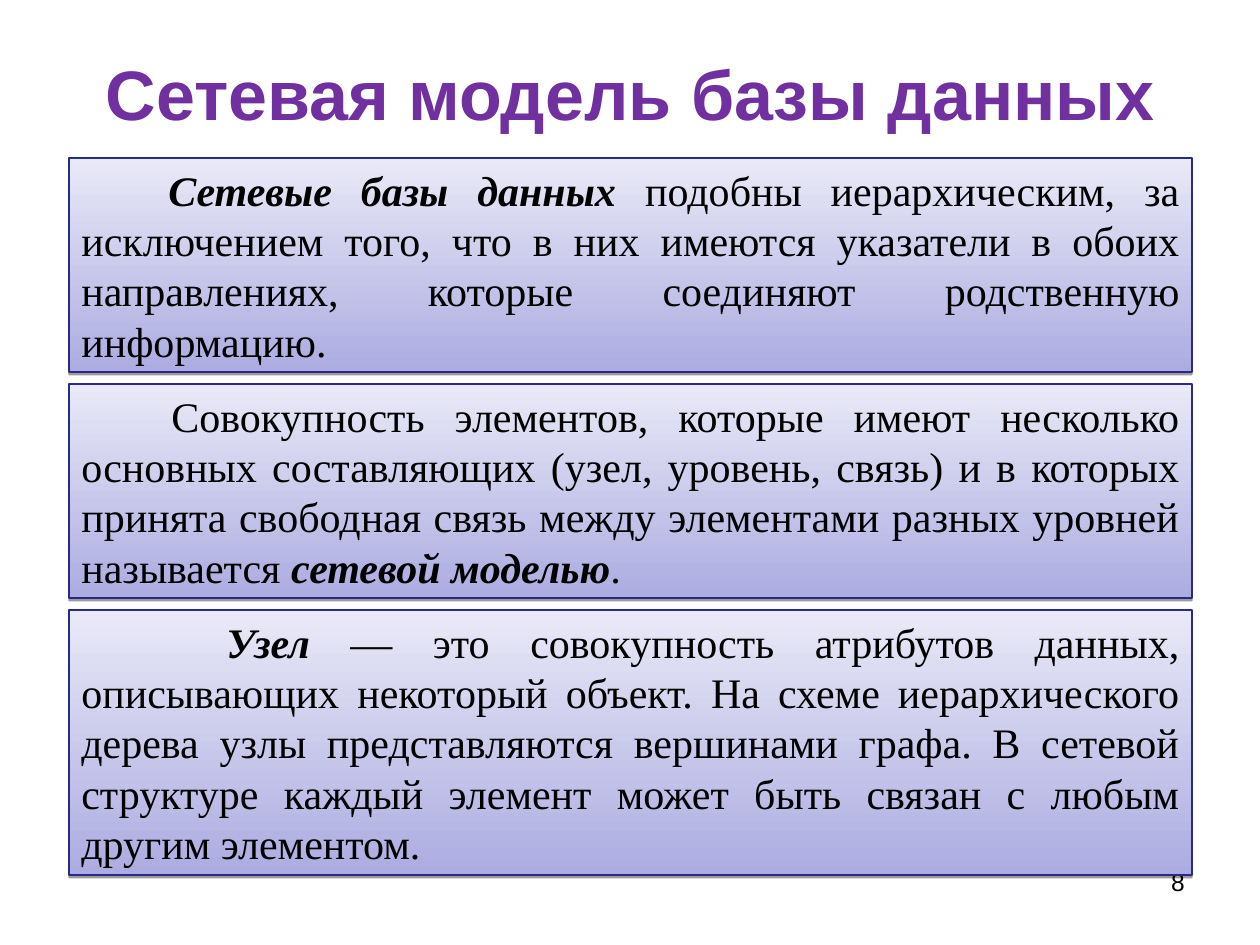
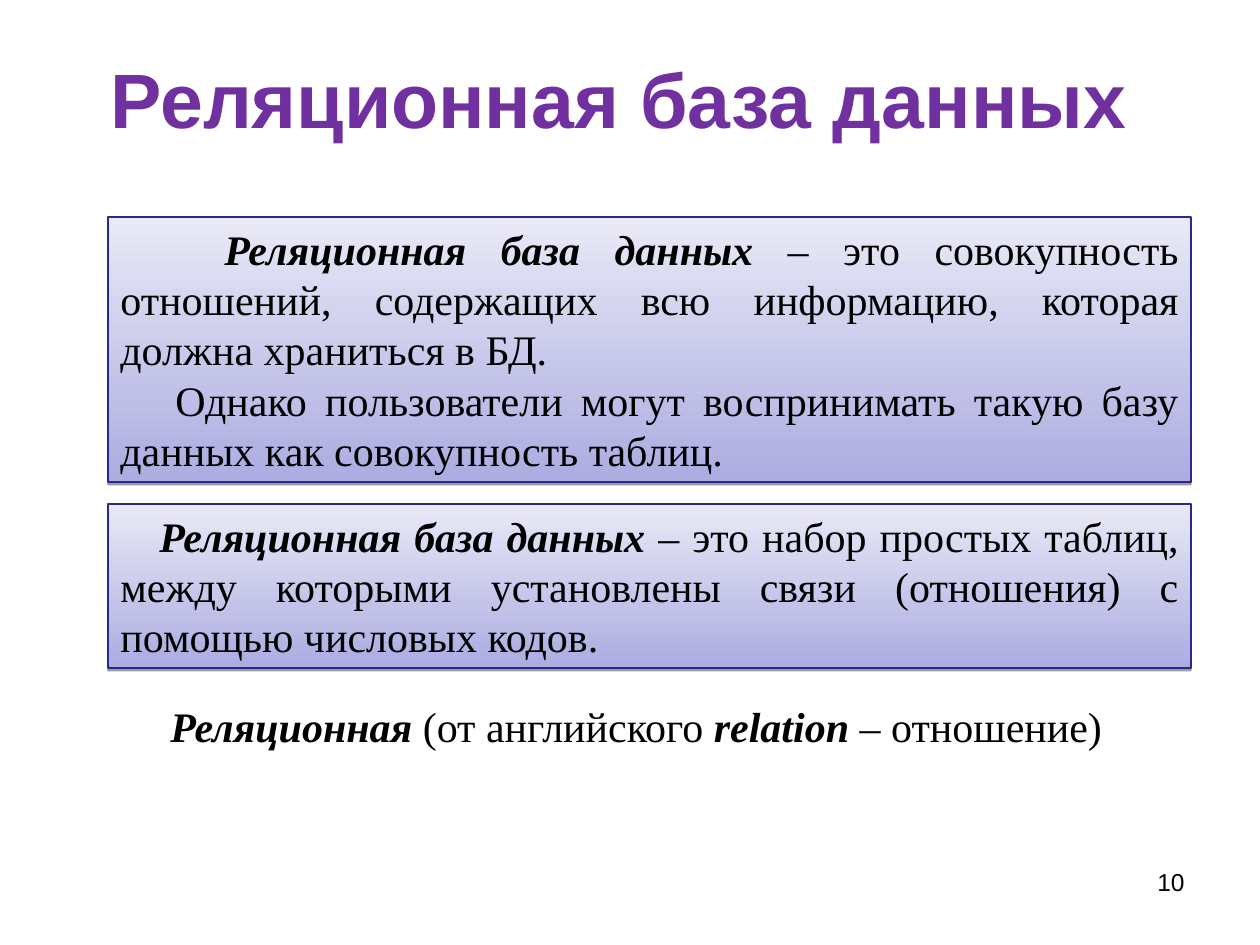
"""Builds two slides about network and relational databases."""
from dataclasses import dataclass

import lxml.etree
import pptx
import pptx.dml.color
import pptx.enum.shapes
import pptx.enum.text
import pptx.oxml.ns
import pptx.util

PX_PER_INCH = 126
TITLE_FONT = "Arial"
BODY_FONT = "Times New Roman"
PURPLE = pptx.dml.color.RGBColor(0x70, 0x30, 0xA0)
BLACK = pptx.dml.color.RGBColor(0x00, 0x00, 0x00)
BORDER = pptx.dml.color.RGBColor(0x29, 0x29, 0x89)
PANEL_DARK = pptx.dml.color.RGBColor(0xAC, 0xAC, 0xE1)
PANEL_LIGHT = pptx.dml.color.RGBColor(0xE9, 0xE9, 0xF7)
ALIGN = pptx.enum.text.PP_ALIGN
ANCHOR = pptx.enum.text.MSO_ANCHOR


@dataclass(frozen=True)
class Run:
    text: str
    strong: bool = False


@dataclass(frozen=True)
class Para:
    runs: tuple[Run, ...]
    indent: int = 0


@dataclass(frozen=True)
class Panel:
    height: int
    paras: tuple[Para, ...]


@dataclass(frozen=True)
class Stack:
    left: int
    top: int
    width: int
    gap: int
    panels: tuple[Panel, ...]


@dataclass(frozen=True)
class Page:
    title: str
    title_size: int
    title_height: int
    number: str
    stack: Stack
    note: Para | None = None


PAGES = (
    Page("Сетевая модель базы данных", 40, 110, "8", Stack(69, 158, 1123, 12, (
        Panel(214, (Para((
            Run("Сетевые базы данных ", True),
            Run("подобны иерархическим, за исключением того, что в них имеются "
                "указатели в обоих направлениях, которые соединяют родственную "
                "информацию."),
        ), 87),)),
        Panel(214, (Para((
            Run("Совокупность элементов, которые имеют несколько основных "
                "составляющих (узел, уровень, связь) и в которых принята свободная "
                "связь между элементами разных уровней называется "),
            Run("сетевой моделью", True),
            Run("."),
        ), 90),)),
        Panel(265, (Para((
            Run("Узел", True),
            Run(" — это совокупность атрибутов данных, описывающих некоторый "
                "объект. На схеме иерархического дерева узлы представляются "
                "вершинами графа. В сетевой структуре каждый элемент может быть "
                "связан с любым другим элементом."),
        ), 145),)),
    ))),
    Page("Реляционная база данных ", 44, 120, "10", Stack(108, 217, 1083, 22, (
        Panel(265, (
            Para((
                Run("Реляционная база данных ", True),
                Run("– это совокупность отношений, содержащих всю информацию, "
                    "которая должна храниться в БД."),
            ), 104),
            Para((
                Run("Однако пользователи могут воспринимать такую базу данных "
                    "как совокупность таблиц."),
            ), 55),
        )),
        Panel(164, (Para((
            Run("Реляционная база данных ", True),
            Run("– это набор простых таблиц, между которыми установлены связи "
                "(отношения) с помощью числовых кодов."),
        ), 39),)),
    )), Para((
        Run("Реляционная", True),
        Run(" (от английского "),
        Run("relation", True),
        Run(" – отношение)"),
    ))),
)


def px(n: int) -> pptx.util.Emu:
    return pptx.util.Emu(round(n * 914400 / PX_PER_INCH))


def add_run(p, text: str, font: str, size: int, color=BLACK,
            bold: bool = False, italic: bool = False) -> None:
    r = p.add_run()
    r.text = text
    r.font.name = font
    r.font.size = pptx.util.Pt(size)
    r.font.color.rgb = color
    r.font.bold = bold
    r.font.italic = italic


def add_box(s, left: int, top: int, width: int, height: int):
    tf = s.shapes.add_textbox(px(left), px(top), px(width), px(height)).text_frame
    tf.word_wrap = True
    return tf


def write_paras(tf, paras: tuple[Para, ...], align) -> None:
    for i, para in enumerate(paras):
        p = tf.add_paragraph() if i else tf.paragraphs[0]
        p.alignment = align
        if para.indent:
            p_pr = p._p.get_or_add_pPr()
            p_pr.set("marL", "0")
            p_pr.set("indent", str(px(para.indent)))
        for run in para.runs:
            add_run(p, run.text, BODY_FONT, 24, bold=run.strong, italic=run.strong)


def add_shadow(sp) -> None:
    sp.shadow.inherit = False
    qn = pptx.oxml.ns.qn
    effects = sp._element.spPr.find(qn("a:effectLst"))
    shadow = lxml.etree.SubElement(
        effects, qn("a:outerShdw"), blurRad="0", dist=str(pptx.util.Pt(1.6)),
        dir="5400000", rotWithShape="0")
    color = lxml.etree.SubElement(shadow, qn("a:srgbClr"), val=str(BLACK))
    lxml.etree.SubElement(color, qn("a:alpha"), val="38000")


def add_panel(s, left: int, top: int, width: int, panel: Panel) -> None:
    sp = s.shapes.add_shape(pptx.enum.shapes.MSO_SHAPE.RECTANGLE,
                            px(left), px(top), px(width), px(panel.height))
    sp.fill.gradient()
    sp.fill.gradient_angle = 90
    for stop, position, color in zip(sp.fill.gradient_stops, (0, 1),
                                     (PANEL_DARK, PANEL_LIGHT)):
        stop.position = position
        stop.color.rgb = color
    sp.line.color.rgb = BORDER
    sp.line.width = pptx.util.Pt(0.75)
    add_shadow(sp)
    tf = sp.text_frame
    tf.word_wrap = True
    tf.vertical_anchor = ANCHOR.TOP
    write_paras(tf, panel.paras, ALIGN.JUSTIFY)


def add_page(prs, page: Page) -> None:
    s = prs.slides.add_slide(prs.slide_layouts[6])
    tf = add_box(s, 63, 38, 1134, page.title_height)
    tf.vertical_anchor = ANCHOR.MIDDLE
    p = tf.paragraphs[0]
    p.alignment = ALIGN.CENTER
    add_run(p, page.title, TITLE_FONT, page.title_size, PURPLE, bold=True)
    p = add_box(s, 903, 861, 294, 66).paragraphs[0]
    p.alignment = ALIGN.RIGHT
    add_run(p, page.number, TITLE_FONT, 14)
    stack = page.stack
    top = stack.top
    for panel in stack.panels:
        add_panel(s, stack.left, top, stack.width, panel)
        top += panel.height + stack.gap
    if page.note:
        write_paras(add_box(s, 158, 694, 965, 113), (page.note,), ALIGN.LEFT)


def main() -> None:
    prs = pptx.Presentation()
    prs.slide_width, prs.slide_height = px(1260), px(945)
    for page in PAGES:
        add_page(prs, page)
    prs.save("out.pptx")


if __name__ == "__main__":
    main()
